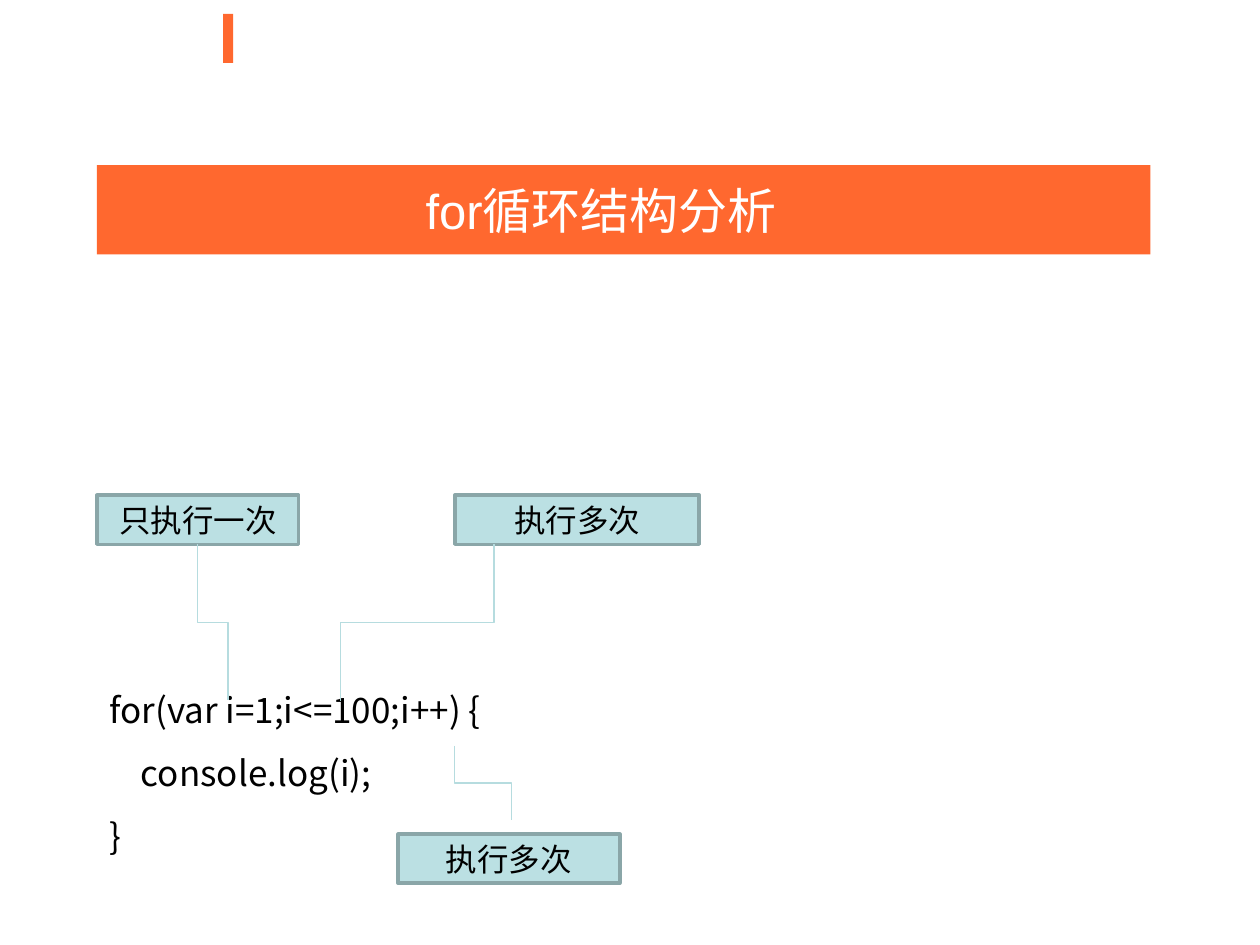
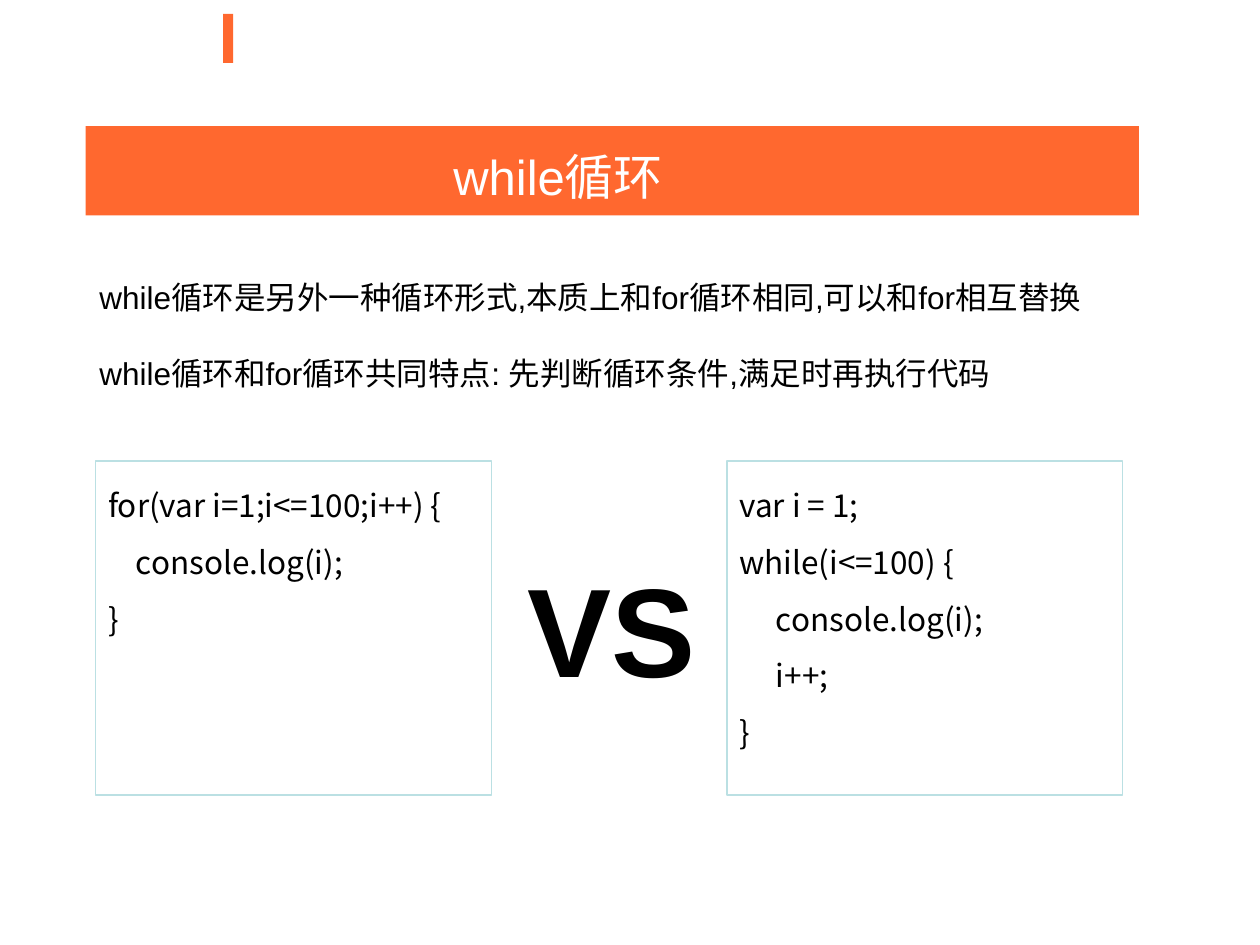
from lxml.etree import SubElement
from pptx import Presentation
from pptx.dml.color import RGBColor
from pptx.enum.shapes import MSO_CONNECTOR, MSO_SHAPE
from pptx.enum.text import MSO_ANCHOR, PP_ALIGN
from pptx.oxml.ns import qn
from pptx.util import Pt

SCALE = 9144
ORANGE = RGBColor(0xFF, 0x68, 0x2F)
AQUA = RGBColor(0xBB, 0xE0, 0xE3)
EDGE = RGBColor(0x8A, 0xA6, 0xA8)
WIRE = RGBColor(0xB6, 0xDC, 0xDF)
BLACK = RGBColor(0, 0, 0)
WHITE = RGBColor(0xFF, 0xFF, 0xFF)
SANS = "Arial"
CODE = "Noto Sans CJK SC"
LOOP = [("for(var i=1;i<=100;i++) {", 0), ("console.log(i);", 1), ("}", 0)]
WHILE = [("var i = 1;", 0), ("while(i<=100) {", 0), ("console.log(i);", 1),
         ("i++;", 1), ("}", 0)]


def px(*nums):
    """Turn px into EMU."""
    return [round(num * SCALE) for num in nums]


def write(frame, text, size=18, color=BLACK, font=SANS, bold=False,
          align=PP_ALIGN.LEFT, lead=None, gap=0, step=0,
          anchor=MSO_ANCHOR.TOP):
    """Fill a frame with a string or with (line, level) pairs."""
    frame.word_wrap = True
    frame.vertical_anchor = anchor
    lines = [(text, 0)] if isinstance(text, str) else text
    for num, (line, level) in enumerate(lines):
        para = frame.paragraphs[0] if num == 0 else frame.add_paragraph()
        para.alignment = align
        if lead:
            para.line_spacing = lead
        if gap and num:
            para.space_before = Pt(gap)
        if level:
            para._p.get_or_add_pPr().set("marL", str(px(step * level)[0]))
        run = para.add_run()
        run.text = line
        run.font.size = Pt(size)
        run.font.bold = bold
        run.font.name = font
        run.font.color.rgb = color
        if font == CODE:
            SubElement(run._r.get_or_add_rPr(), qn("a:ea")).set("typeface", font)


class Deck:
    """Hold the style and the current slide."""

    def __init__(self):
        """Start a 10 by 7.5 inch deck."""
        self.prs = Presentation()
        self.prs.slide_width, self.prs.slide_height = px(1000, 750)

    def page(self):
        """Add a blank slide with the accent mark."""
        self.slide = self.prs.slides.add_slide(self.prs.slide_layouts[6])
        self.rect(177, 11, 8, 39, fill=ORANGE)

    def rect(self, x, y, w, h, fill=None, line=None, width=0.75):
        """Add a rectangle and return its text frame."""
        box = self.slide.shapes.add_shape(MSO_SHAPE.RECTANGLE, *px(x, y, w, h))
        box.shadow.inherit = False
        if fill:
            box.fill.solid()
            box.fill.fore_color.rgb = fill
        else:
            box.fill.background()
        if line:
            box.line.color.rgb = line
            box.line.width = Pt(width)
        else:
            box.line.fill.background()
        return box.text_frame

    def text(self, x, y, w, h, text, **form):
        """Add a text box."""
        box = self.slide.shapes.add_textbox(*px(x, y, w, h))
        write(box.text_frame, text, **form)

    def title(self, x, y, text, left, top):
        """Add the title band and its text."""
        self.rect(x, y, 836, 71, fill=ORANGE)
        self.text(left, top, 353, 57, text, size=28, color=WHITE)

    def label(self, x, y, w, text):
        """Add a call-out label."""
        frame = self.rect(x, y, w, 39, fill=AQUA, line=EDGE, width=2)
        write(frame, text, align=PP_ALIGN.CENTER, anchor=MSO_ANCHOR.MIDDLE)

    def code(self, x, y, lines, step):
        """Add a framed code listing."""
        frame = self.rect(x, y, 314, 265, line=AQUA)
        write(frame, lines, font=CODE, lead=1.5, step=step)

    def bend(self, x1, y1, x2, y2):
        """Add an elbow line that leaves and arrives vertically."""
        midx, midy = (x1 + x2) / 2, (y1 + y2) / 2
        half, rise = (y2 - y1) / 2, (x1 - x2) / 2
        ends = px(midx - half, midy - rise, midx + half, midy + rise)
        line = self.slide.shapes.add_connector(MSO_CONNECTOR.ELBOW, *ends)
        line.line.color.rgb = WIRE
        line.line.width = Pt(0.75)
        props = line._element.spPr
        props.find(qn("a:xfrm")).set("rot", "5400000")
        SubElement(props, qn("a:effectLst"))


def main():
    """Build both slides."""
    deck = Deck()

    deck.page()
    deck.title(77, 131, "for循环结构分析", 328, 138)
    deck.text(77, 525, 836, 176, LOOP, size=20, font=CODE, lead=1.5, step=25)
    for x, y, w, text in [(77, 393, 160, "只执行一次"),
                          (361, 393, 194, "执行多次"),
                          (316, 662, 176, "执行多次")]:
        deck.label(x, y, w, text)
    for ends in [(157, 432, 181, 556), (392, 432, 270, 556),
                 (361, 592, 406, 651)]:
        deck.bend(*ends)

    deck.page()
    deck.title(68, 100, "while循环", 350, 111)
    deck.text(69, 216, 799, 100,
              [("while循环是另外一种循环形式,本质上和for循环相同,可以和for相互替换", 0),
               ("while循环和for循环共同特点: 先判断循环条件,满足时再执行代码", 0)],
              gap=21.7)
    deck.code(76, 366, LOOP, 22)
    deck.code(577, 366, WHILE, 29)
    deck.text(399, 433, 173, 130, "VS", size=72, bold=True,
              align=PP_ALIGN.CENTER)

    deck.prs.save("out.pptx")


if __name__ == "__main__":
    main()
